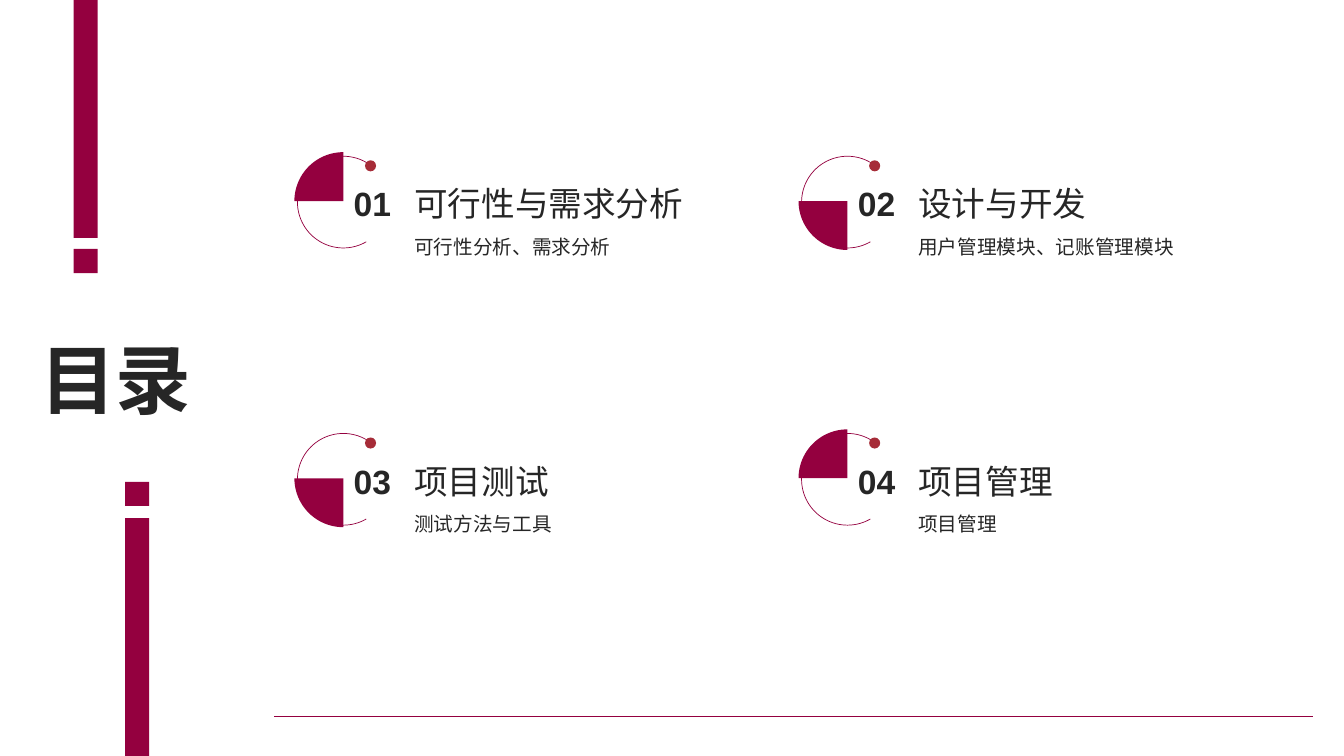
from pptx import Presentation
from pptx.dml.color import RGBColor
from pptx.enum.shapes import MSO_CONNECTOR, MSO_SHAPE
from pptx.enum.text import MSO_AUTO_SIZE
from pptx.oxml.ns import qn
from pptx.util import Inches, Pt
from lxml import etree

COLORS = {"wine": "94003F", "dot": "A62C38", "text": "262626"}
FONT = "Arial"
COL_STEP, ROW_STEP = 5, 2.75

# Number, heading, details, rotation of the quarter pie
CHAPTERS = [
    ("01", "可行性与需求分析", "可行性分析、需求分析", 0),
    ("02", "设计与开发", "用户管理模块、记账管理模块", 270),
    ("03", "项目测试", "测试方法与工具", 270),
    ("04", "项目管理", "项目管理", 0),
]


def rgb(name):
    return RGBColor.from_string(COLORS[name])


def add_text(s, text, x, y, w, h, size, bold=False, wrap=False, spacing=None):
    tf = s.shapes.add_textbox(Inches(x), Inches(y), Inches(w), Inches(h)).text_frame
    tf.word_wrap = wrap
    tf.auto_size = MSO_AUTO_SIZE.SHAPE_TO_FIT_TEXT
    p = tf.paragraphs[0]
    if spacing:
        p.line_spacing = spacing
    r = p.add_run()
    r.text = text
    r.font.name = FONT
    r.font.size = Pt(size)
    r.font.bold = bold
    r.font.color.rgb = rgb("text")


def add_solid(s, kind, x, y, w, h, color="wine"):
    sp = s.shapes.add_shape(kind, Inches(x), Inches(y), Inches(w), Inches(h))
    sp.shadow.inherit = False
    sp.fill.solid()
    sp.fill.fore_color.rgb = rgb(color)
    sp.line.fill.background()
    return sp


def add_arc(s, x, y, size):
    sp = s.shapes.add_shape(MSO_SHAPE.ARC, Inches(x), Inches(y), Inches(size), Inches(size))
    sp.shadow.inherit = False
    sp.adjustments[0] = 162
    sp.adjustments[1] = 92.436
    sp.rotation = 150
    sp.fill.background()
    sp.line.color.rgb = rgb("wine")
    sp.line.width = Pt(0.5)


def add_rule(s, x1, x2, y):
    line = s.shapes.add_connector(
        MSO_CONNECTOR.STRAIGHT, Inches(x1), Inches(y), Inches(x2), Inches(y))
    line.line.color.rgb = rgb("wine")
    line.line.width = Pt(1)
    etree.SubElement(line._element.spPr, qn("a:effectLst"))


def add_chapter(s, x, y, number, heading, details, rotation):
    add_text(s, number, x + 0.49, y + 0.26, 0.58, 0.5, 24, bold=True)
    # Heading box is as wide as its characters plus the insets
    add_text(s, heading, x + 1.09, y + 0.26, 0.2 + 0.34 * len(heading), 0.5, 24)
    add_text(s, details, x + 1.09, y + 0.7, 3.32, 0.38, 14, wrap=True, spacing=1.3)
    pie = add_solid(s, MSO_SHAPE.PIE, x, y, 0.97, 0.97)
    pie.adjustments[0] = 108
    pie.adjustments[1] = 162
    pie.rotation = rotation
    add_arc(s, x + 0.03, y + 0.04, 0.91)
    add_solid(s, MSO_SHAPE.OVAL, x + 0.7, y + 0.08, 0.11, 0.11, "dot")


def main():
    prs = Presentation()
    prs.slide_width, prs.slide_height = Inches(13.33), Inches(7.5)
    s = prs.slides.add_slide(prs.slide_layouts[6])

    # Bottom rule and title
    add_rule(s, 2.72, 13.02, 7.11)
    add_text(s, "目录", 0.3, 3.25, 1.72, 1.01, 54, bold=True)

    # Bars with their squares above and below the title
    for x, y, h in [(0.73, 0, 2.36), (0.73, 2.47, 0.24),
                    (1.24, 5.14, 2.36), (1.24, 4.78, 0.24)]:
        add_solid(s, MSO_SHAPE.RECTANGLE, x, y, 0.24, h)

    # Chapters in two columns
    for i, chapter in enumerate(CHAPTERS):
        row, col = divmod(i, 2)
        add_chapter(s, 2.92 + col * COL_STEP, 1.51 + row * ROW_STEP, *chapter)

    prs.save("out.pptx")


if __name__ == "__main__":
    main()
